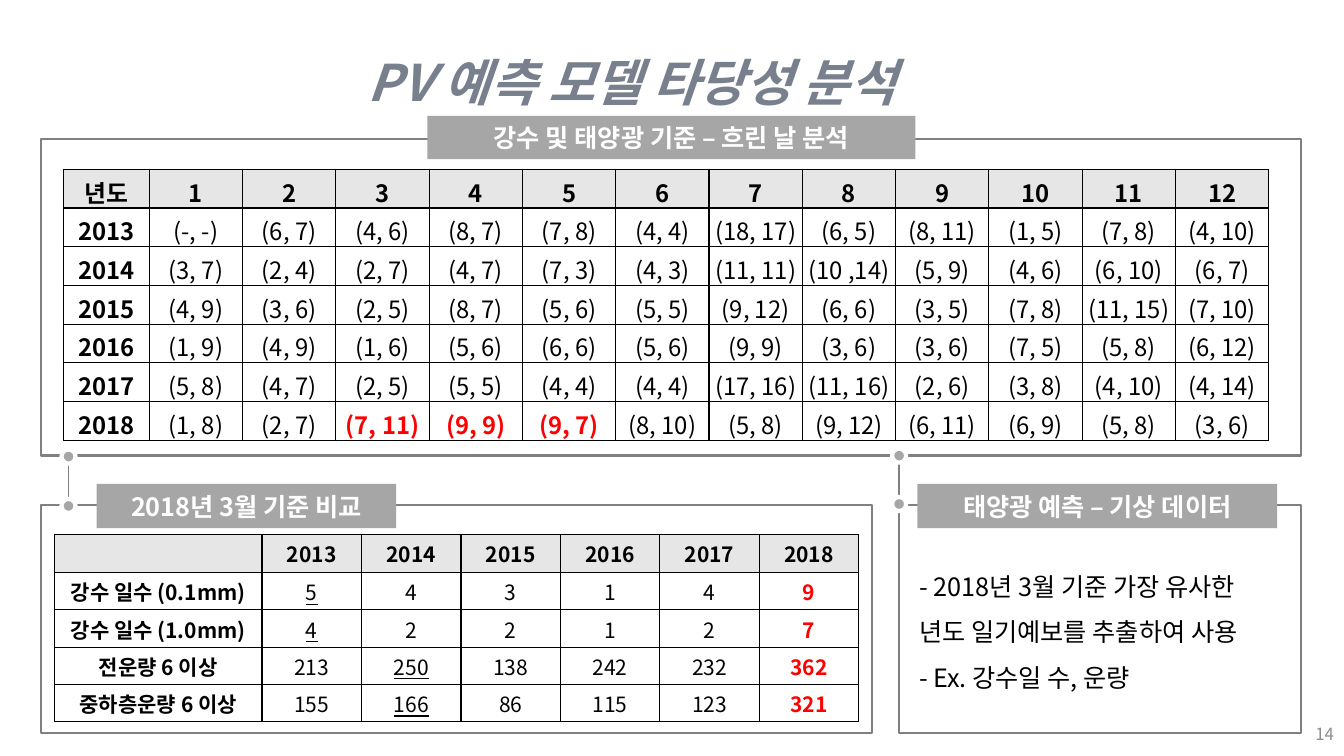
from dataclasses import dataclass, field

from lxml.etree import SubElement
from pptx import Presentation
from pptx.dml.color import RGBColor
from pptx.enum.shapes import MSO_CONNECTOR, MSO_SHAPE
from pptx.enum.text import MSO_ANCHOR as Anchor, PP_ALIGN as Align
from pptx.oxml.ns import qn
from pptx.util import Emu, Inches, Pt

FONT = "Noto Sans CJK KR"
BLACK, WHITE, RED = "000000", "FFFFFF", "FF0000"
GREY, LABEL_GREY, HEADER_GREY = "808080", "A6A6A6", "E7E6E6"
DOT = 0.14

prs = Presentation()
prs.slide_width, prs.slide_height = Inches(13.33), Inches(7.5)
s = prs.slides.add_slide(prs.slide_layouts[5])


@dataclass
class Box:
    """A rectangle in percent of the slide's width and height."""
    left: float
    top: float
    width: float
    height: float

    def emu(self) -> tuple[Emu, Emu, Emu, Emu]:
        return x(self.left), y(self.top), x(self.width), y(self.height)


@dataclass
class Panel:
    frame: Box
    label: Box
    text: str


@dataclass
class Link:
    """Two dots, one above the other, joined by a line."""
    center: float
    upper: float
    lower: float


@dataclass
class Grid:
    box: Box
    first_col: float
    size: float
    margin: float
    rows: list[list[str]]
    red: set[tuple[int, int]]
    underlined: set[tuple[int, int]] = field(default_factory=set)


def x(share: float) -> Emu:
    return Emu(round(prs.slide_width * share / 100))


def y(share: float) -> Emu:
    return Emu(round(prs.slide_height * share / 100))


def rgb(color: str) -> RGBColor:
    return RGBColor.from_string(color)


def add_run(p, text: str, size: float, color: str = BLACK, bold: bool = False,
            italic: bool = False, underline: bool = False) -> None:
    r = p.add_run()
    r.text = text
    f = r.font
    f.name, f.size, f.bold, f.italic, f.underline = FONT, Pt(size), bold, italic, underline
    f.color.rgb = rgb(color)
    SubElement(f._element, qn("a:ea"), typeface=FONT)


def add_filled(kind: MSO_SHAPE, place: tuple, fill: str | None, line: str | None, width: float = 0):
    sp = s.shapes.add_shape(kind, *place)
    sp.shadow.inherit = False
    if fill:
        sp.fill.solid()
        sp.fill.fore_color.rgb = rgb(fill)
    else:
        sp.fill.background()
    if line:
        sp.line.color.rgb = rgb(line)
        sp.line.width = Pt(width)
    else:
        sp.line.fill.background()
    return sp


def add_panel(panel: Panel) -> None:
    add_filled(MSO_SHAPE.RECTANGLE, panel.frame.emu(), None, GREY, 1.5)
    tf = add_filled(MSO_SHAPE.RECTANGLE, panel.label.emu(), LABEL_GREY, None).text_frame
    tf.vertical_anchor = Anchor.MIDDLE
    p = tf.paragraphs[0]
    p.alignment = Align.CENTER
    add_run(p, panel.text, 18, WHITE, bold=True)


def add_link(link: Link) -> None:
    size = Inches(DOT)
    half = size // 2
    center, upper, lower = x(link.center), y(link.upper), y(link.lower)
    line = s.shapes.add_connector(MSO_CONNECTOR.STRAIGHT, center, lower - half, center, upper + half)
    line.line.color.rgb = rgb(GREY)
    line.line.width = Pt(1)
    SubElement(line._element.spPr, qn("a:effectLst"))
    for middle in (upper, lower):
        add_filled(MSO_SHAPE.OVAL, (center - half, middle - half, size, size), LABEL_GREY, WHITE, 3)


def add_borders(cell) -> None:
    props = cell._tc.get_or_add_tcPr()
    for i, side in enumerate(("lnL", "lnR", "lnT", "lnB")):
        ln = props.makeelement(qn(f"a:{side}"), {"w": str(Pt(1))})
        SubElement(SubElement(ln, qn("a:solidFill")), qn("a:srgbClr"), val=BLACK)
        props.insert(i, ln)


def add_grid(grid: Grid) -> None:
    n_rows, n_cols = len(grid.rows), len(grid.rows[0])
    table = s.shapes.add_table(n_rows, n_cols, *grid.box.emu()).table
    table.horz_banding = False
    for c, col in enumerate(table.columns):
        rest = (grid.box.width - grid.first_col) / (n_cols - 1)
        col.width = x(rest if c else grid.first_col)
    for r, values in enumerate(grid.rows):
        for c, value in enumerate(values):
            cell = table.cell(r, c)
            cell.vertical_anchor = Anchor.MIDDLE
            cell.margin_left = cell.margin_right = Inches(grid.margin)
            cell.margin_top = cell.margin_bottom = Inches(grid.margin)
            if r == 0:
                cell.fill.solid()
                cell.fill.fore_color.rgb = rgb(HEADER_GREY)
            else:
                cell.fill.background()
            add_borders(cell)
            p = cell.text_frame.paragraphs[0]
            p.alignment = Align.CENTER
            if value:
                red = (r, c) in grid.red
                add_run(p, value, grid.size, RED if red else BLACK, bold=red or r == 0 or c == 0,
                        underline=(r, c) in grid.underlined)


def add_text_box(box: Box):
    tf = s.shapes.add_textbox(*box.emu()).text_frame
    tf.word_wrap = True
    return tf


PANELS = [
    Panel(Box(3.08, 18.4, 93.75, 41.87), Box(31.8, 15.33, 36.3, 5.73), "강수 및 태양광 기준 – 흐린 날 분석"),
    Panel(Box(3.08, 66.8, 61.8, 30.13), Box(7.2, 64, 22.28, 5.87), "2018년 3월 기준 비교"),
    Panel(Box(66.9, 66.8, 29.93, 30.13), Box(68.25, 64, 26.78, 5.87), "태양광 예측 – 기상 데이터"),
]
LINKS = [Link(5.1, 60.4, 66.93), Link(66.9, 60.27, 66.67)]
CLOUDY_DAYS = """년도|1|2|3|4|5|6|7|8|9|10|11|12
2013|(-, -)|(6, 7)|(4, 6)|(8, 7)|(7, 8)|(4, 4)|(18, 17)|(6, 5)|(8, 11)|(1, 5)|(7, 8)|(4, 10)
2014|(3, 7)|(2, 4)|(2, 7)|(4, 7)|(7, 3)|(4, 3)|(11, 11)|(10 ,14)|(5, 9)|(4, 6)|(6, 10)|(6, 7)
2015|(4, 9)|(3, 6)|(2, 5)|(8, 7)|(5, 6)|(5, 5)|(9, 12)|(6, 6)|(3, 5)|(7, 8)|(11, 15)|(7, 10)
2016|(1, 9)|(4, 9)|(1, 6)|(5, 6)|(6, 6)|(5, 6)|(9, 9)|(3, 6)|(3, 6)|(7, 5)|(5, 8)|(6, 12)
2017|(5, 8)|(4, 7)|(2, 5)|(5, 5)|(4, 4)|(4, 4)|(17, 16)|(11, 16)|(2, 6)|(3, 8)|(4, 10)|(4, 14)
2018|(1, 8)|(2, 7)|(7, 11)|(9, 9)|(9, 7)|(8, 10)|(5, 8)|(9, 12)|(6, 11)|(6, 9)|(5, 8)|(3, 6)"""
MARCH = """|2013|2014|2015|2016|2017|2018
강수 일수 (0.1mm)|5|4|3|1|4|9
강수 일수 (1.0mm)|4|2|2|1|2|7
전운량 6 이상|213|250|138|242|232|362
중하층운량 6 이상|155|166|86|115|123|321"""
GRIDS = [
    Grid(Box(4.73, 22.4, 89.7, 35.6), 6.38, 17, 0.05,
         [line.split("|") for line in CLOUDY_DAYS.splitlines()], {(6, 3), (6, 4), (6, 5)}),
    Grid(Box(4.05, 70.67, 59.85, 24.67), 15.45, 15, 0.04,
         [line.split("|") for line in MARCH.splitlines()],
         {(r, 6) for r in range(1, 5)}, {(1, 1), (2, 1), (3, 2), (4, 2)}),
]
NOTES = [["- 2018년 3월 기준 가장 유사한", "년도 일기예보를 추출하여 사용"], ["- Ex. 강수일 수, 운량"]]

title = s.shapes.title
title.left, title.top, title.width, title.height = Box(17.48, 2.13, 59.03, 13.47).emu()
title.text_frame.vertical_anchor = Anchor.TOP
p = title.text_frame.paragraphs[0]
p.alignment, p.line_spacing = Align.CENTER, 1.5
add_run(p, "PV 예측 모델 타당성 분석", 36, "78808D", bold=True, italic=True)

for panel in PANELS:
    add_panel(panel)
for link in LINKS:
    add_link(link)

tf = add_text_box(Box(67.65, 72.93, 31.2, 19.47))
for i, lines in enumerate(NOTES):
    p = tf.add_paragraph() if i else tf.paragraphs[0]
    p.line_spacing = 1.5
    for j, line in enumerate(lines):
        if j:
            p.add_line_break()
        add_run(p, line, 18)

for grid in GRIDS:
    add_grid(grid)

tf = add_text_box(Box(77.5, 94.4, 22.5, 5.33))
tf.vertical_anchor = Anchor.MIDDLE
p = tf.paragraphs[0]
p.alignment = Align.RIGHT
add_run(p, "14", 12, "8C8C8C")

prs.save("out.pptx")
